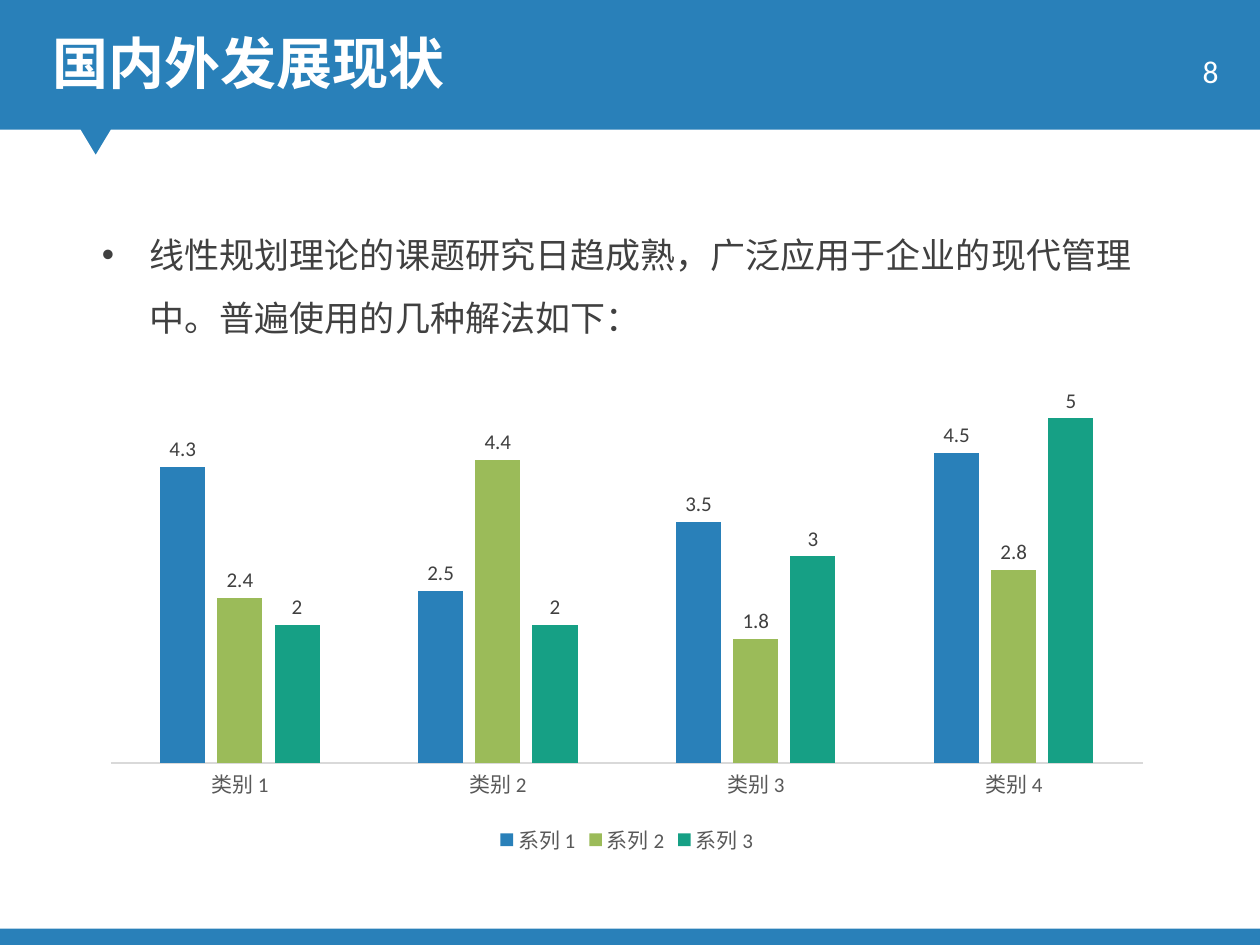
from dataclasses import dataclass

from lxml import etree
from pptx import Presentation, util as u
from pptx.chart.data import CategoryChartData
from pptx.dml.color import RGBColor
from pptx.enum import chart as ch, shapes, text
from pptx.oxml.ns import qn

COLORS = {
    "blue": "2980B9", "green": "9BBB59", "teal": "16A085", "white": "FFFFFF",
    "dark": "404040", "gray": "595959", "rule": "D9D9D9",
}
LATIN, HAN = "Calibri", "Noto Sans CJK SC"


@dataclass
class Label:
    words: str
    box: tuple
    size: int
    color: str
    font: str = LATIN
    bold: bool = False
    align: text.PP_ALIGN = text.PP_ALIGN.LEFT
    anchor: text.MSO_ANCHOR = text.MSO_ANCHOR.TOP


@dataclass
class Series:
    name: str
    vals: tuple
    color: str


def rgb(name: str) -> RGBColor:
    return RGBColor.from_string(COLORS[name])


def paint(shape, color: str) -> None:
    shape.fill.solid()
    shape.fill.fore_color.rgb = rgb(color)
    shape.line.fill.background()
    shape.shadow.inherit = False


def style(font, size: int, color: str, face: str = LATIN) -> None:
    font.size = u.Pt(size)
    font.name = face
    font.color.rgb = rgb(color)


def write(slide, item: Label):
    """Draw one label and return its paragraph."""
    frame = slide.shapes.add_textbox(*map(u.Inches, item.box)).text_frame
    frame.word_wrap = True
    frame.vertical_anchor = item.anchor
    frame.text = item.words
    para = frame.paragraphs[0]
    para.alignment = item.align
    run = para.runs[0]
    style(run.font, item.size, item.color, item.font)
    run.font.bold = item.bold
    etree.SubElement(run.font._element, qn("a:ea"), typeface=HAN)
    return para


def bullet(para, indent: float) -> None:
    props = para._p.get_or_add_pPr()
    props.set("marL", str(u.Inches(indent)))
    props.set("indent", str(-u.Inches(indent)))
    etree.SubElement(props, qn("a:buFont"), typeface="Arial")
    etree.SubElement(props, qn("a:buChar"), char="•")


def plot(slide, box: tuple, cats: list[str], rows: list[Series]) -> None:
    data = CategoryChartData()
    data.categories = cats
    for row in rows:
        data.add_series(row.name, row.vals)
    kind = ch.XL_CHART_TYPE.COLUMN_CLUSTERED
    chart = slide.shapes.add_chart(kind, *map(u.Inches, box), data).chart
    chart.has_title = False
    chart.font.size = u.Pt(10)
    chart.font.name = LATIN

    # Axes
    axis = chart.category_axis
    axis.major_tick_mark = ch.XL_TICK_MARK.NONE
    style(axis.tick_labels.font, 12, "gray")
    axis.format.line.color.rgb = rgb("rule")
    axis.format.line.width = u.Pt(0.75)
    scale = chart.value_axis
    scale.minimum_scale, scale.maximum_scale = 0, 6
    scale.has_major_gridlines = False
    scale.visible = False

    # Legend
    chart.has_legend = True
    chart.legend.position = ch.XL_LEGEND_POSITION.BOTTOM
    chart.legend.include_in_layout = False
    style(chart.legend.font, 12, "gray")

    # Columns and their values
    bars = chart.plots[0]
    bars.gap_width, bars.overlap = 219, -27
    bars.vary_by_categories = False
    for line, row in zip(bars.series, rows):
        line.format.fill.solid()
        line.format.fill.fore_color.rgb = rgb(row.color)
        line.invert_if_negative = False
        tags = line.data_labels
        tags.show_value = True
        tags.position = ch.XL_LABEL_POSITION.OUTSIDE_END
        style(tags.font, 12, "dark")


def main() -> None:
    deck = Presentation()
    deck.slide_width, deck.slide_height = u.Inches(10), u.Inches(7.5)
    slide = deck.slides.add_slide(deck.slide_layouts[6])

    # Blue ground, white sheet with a notch under the title
    ground = slide.shapes.add_shape(
        shapes.MSO_SHAPE.RECTANGLE, 0, 0, deck.slide_width, deck.slide_height)
    paint(ground, "blue")
    top, base = 1.03, 7.37
    edge = [(0.64, top), (0.76, 1.23), (0.88, top),
            (10, top), (10, base), (0, base)]
    pen = slide.shapes.build_freeform(0, u.Inches(top))
    pen.add_line_segments([(u.Inches(x), u.Inches(y)) for x, y in edge])
    paint(pen.convert_to_shape(), "white")

    # Title and page number
    title = write(slide, Label("国内外发展现状", (0.32, 0.24, 7.76, 0.64),
                               32, "white", bold=True))
    title.line_spacing = 0.9
    title.space_before = u.Pt(10)
    write(slide, Label("8", (8.87, 0.31, 0.9, 0.5), 18, "white",
                       align=text.PP_ALIGN.RIGHT,
                       anchor=text.MSO_ANCHOR.MIDDLE))

    # Body point
    body = write(slide, Label(
        "线性规划理论的课题研究日趋成熟，广泛应用于企业的现代管理中。"
        "普遍使用的几种解法如下：",
        (0.71, 1.64, 8.53, 1.05), 20, "dark", HAN))
    body.line_spacing = 1.5
    body.space_after = u.Pt(12)
    bullet(body, 0.38)

    # Chart
    plot(slide, (0.71, 2.69, 8.53, 4.14),
         [f"类别 {n}" for n in range(1, 5)],
         [Series("系列 1", (4.3, 2.5, 3.5, 4.5), "blue"),
          Series("系列 2", (2.4, 4.4, 1.8, 2.8), "green"),
          Series("系列 3", (2, 2, 3, 5), "teal")])

    deck.save("out.pptx")


if __name__ == "__main__":
    main()
